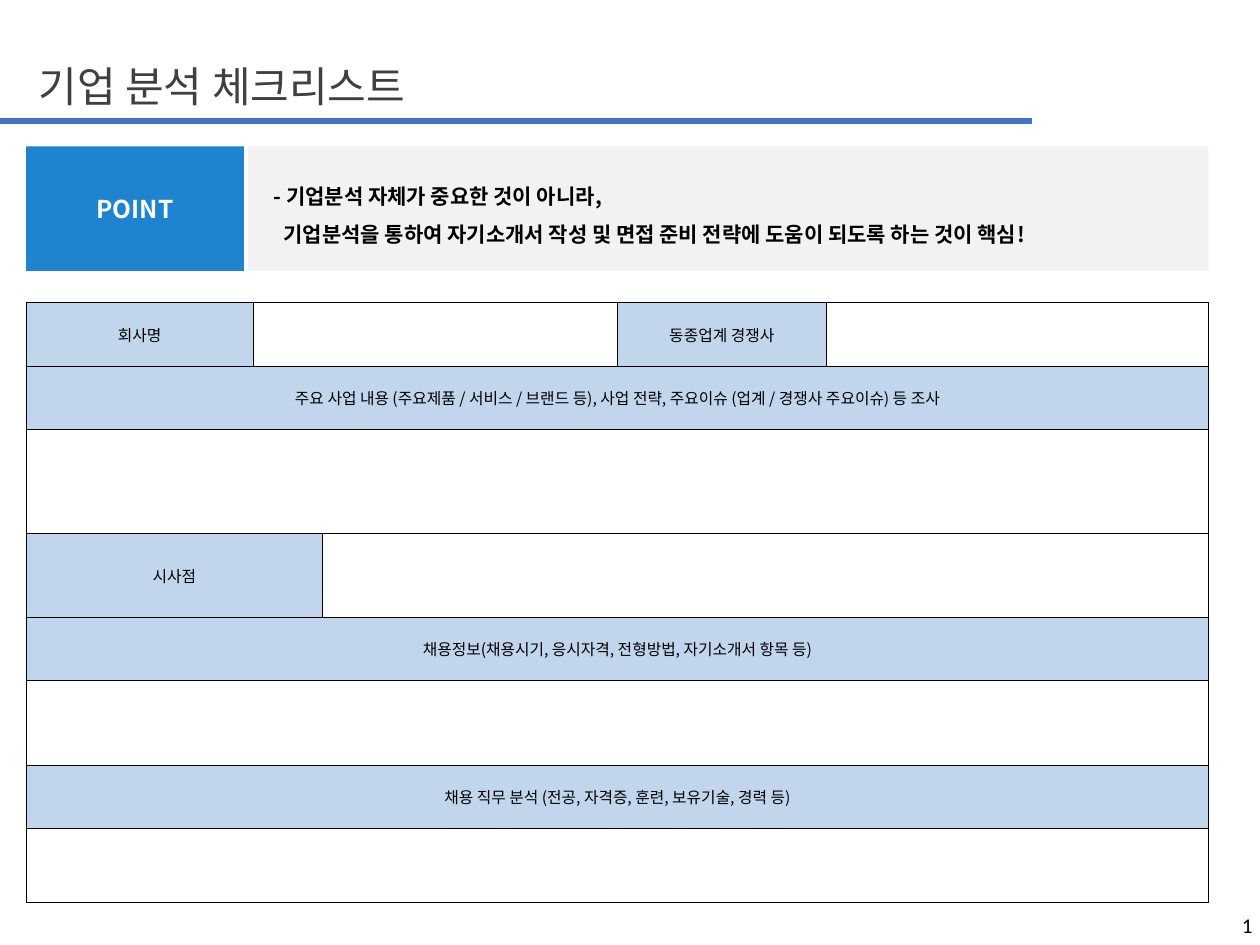
from dataclasses import dataclass

from lxml.etree import SubElement
from pptx import Presentation
from pptx.dml.color import RGBColor
from pptx.enum.shapes import MSO_CONNECTOR, MSO_SHAPE
from pptx.enum.text import MSO_ANCHOR, PP_ALIGN
from pptx.oxml.ns import qn
from pptx.util import Cm, Pt


@dataclass(frozen=True)
class Theme:
    """Colours, fonts and type sizes."""
    font: str = "Noto Sans CJK KR"
    digit: str = "Calibri"
    black: str = "000000"
    white: str = "FFFFFF"
    grey: str = "404040"
    pale: str = "F2F2F2"
    rule: str = "4472C4"
    accent: str = "1F84CF"
    label: str = "C1D6ED"
    title: int = 24
    point: int = 14
    body: int = 12
    cell: int = 9


T = Theme()
COLS = [4.57, 1.4, 5.94, 4.22, 7.7]
# Each row: height, then (columns spanned, label) for each cell.
ROWS = [
    (1.28, [(1, "회사명"), (2, ""), (1, "동종업계 경쟁사"), (1, "")]),
    (1.28, [(5, "주요 사업 내용 (주요제품 / 서비스 / 브랜드 등), 사업 전략, "
                "주요이슈 (업계 / 경쟁사 주요이슈) 등 조사")]),
    (2.1, [(5, "")]),
    (1.68, [(2, "시사점"), (3, "")]),
    (1.28, [(5, "채용정보(채용시기, 응시자격, 전형방법, 자기소개서 항목 등)")]),
    (1.7, [(5, "")]),
    (1.28, [(5, "채용 직무 분석 (전공, 자격증, 훈련, 보유기술, 경력 등)")]),
    (1.5, [(5, "")]),
]


def rgb(code):
    """Turn a hex code into a colour."""
    return RGBColor.from_string(code)


def write(frame, *lines, size=T.body, color=T.black, font=T.font, bold=False,
          align=PP_ALIGN.LEFT, space=1.0, indents=()):
    """Write one paragraph per line, with optional left indents in cm."""
    for i, line in enumerate(lines):
        para = frame.add_paragraph() if i else frame.paragraphs[0]
        para.alignment, para.line_spacing = align, space
        if indents:
            para._p.get_or_add_pPr().set("marL", str(Cm(indents[i])))
        run = para.add_run()
        run.text = line
        run.font.size, run.font.bold, run.font.name = Pt(size), bold, font
        run.font.color.rgb = rgb(color)
        SubElement(run._r.get_or_add_rPr(), qn("a:ea"), typeface=font)


def label(slide, box, text, **form):
    """Place a plain text box, centred vertically."""
    frame = slide.shapes.add_textbox(*map(Cm, box)).text_frame
    frame.word_wrap = True
    frame.vertical_anchor = MSO_ANCHOR.MIDDLE
    write(frame, text, **form)
    return frame


def panel(slide, box, fill, *lines, **form):
    """Place a filled rectangle with text."""
    shape = slide.shapes.add_shape(MSO_SHAPE.RECTANGLE, *map(Cm, box))
    shape.shadow.inherit = False
    shape.fill.solid()
    shape.fill.fore_color.rgb = rgb(fill)
    shape.line.fill.background()
    shape.text_frame.vertical_anchor = MSO_ANCHOR.MIDDLE
    write(shape.text_frame, *lines, bold=True, **form)


def header(slide, box):
    """Place the title and the rule under it."""
    x, y, w, h = box
    label(slide, box, "기업 분석 체크리스트", size=T.title, color=T.grey, space=0.9)
    base = Cm(y + h - 0.28)
    line = slide.shapes.add_connector(MSO_CONNECTOR.STRAIGHT, 0, base, Cm(20.8), base)
    line.line.color.rgb = rgb(T.rule)
    line.line.width = Pt(3)
    SubElement(line._element.spPr, qn("a:effectLst"))


def banner(slide, box):
    """Place the key point: a tag on the left, its message on the right."""
    x, y, w, h = box
    tag, gap = 4.39, 0.08
    panel(slide, (x, y, tag, h), T.accent, "POINT",
          size=T.point, color=T.white, align=PP_ALIGN.CENTER)
    panel(slide, (x + tag + gap, y, w - tag - gap, h), T.pale,
          "- 기업분석 자체가 중요한 것이 아니라,",
          "기업분석을 통하여 자기소개서 작성 및 면접 준비 전략에 "
          "도움이 되도록 하는 것이 핵심!",
          space=1.5, indents=(0.27, 0.47))


def border(cell):
    """Draw a thin black line on all four sides of a cell."""
    props = cell._tc.get_or_add_tcPr()
    for side in ("lnL", "lnR", "lnT", "lnB"):
        edge = SubElement(props, qn(f"a:{side}"), w=str(Pt(0.5)))
        SubElement(SubElement(edge, qn("a:solidFill")), qn("a:srgbClr"), val=T.black)


def form(slide, x, y):
    """Place the checklist table with its merged cells."""
    high = sum(row[0] for row in ROWS)
    table = slide.shapes.add_table(len(ROWS), len(COLS), Cm(x), Cm(y),
                                   Cm(sum(COLS)), Cm(high)).table
    table.first_row = table.horz_banding = False
    for col, wide in zip(table.columns, COLS):
        col.width = Cm(wide)
    for r, (tall, cells) in enumerate(ROWS):
        table.rows[r].height = Cm(tall)
        for cell in table.rows[r].cells:
            border(cell)
            cell.fill.background()
        c = 0
        for span, text in cells:
            cell = table.cell(r, c)
            if span > 1:
                cell.merge(table.cell(r, c + span - 1))
            if text:
                cell.fill.solid()
                cell.fill.fore_color.rgb = rgb(T.label)
                cell.vertical_anchor = MSO_ANCHOR.MIDDLE
                cell.margin_left = cell.margin_right = Cm(0.15)
                cell.margin_top = cell.margin_bottom = Cm(0.08)
                write(cell.text_frame, text, size=T.cell, align=PP_ALIGN.CENTER)
            c += span


def footer(slide, box):
    """Place the page number at the right edge."""
    frame = label(slide, box, "1", font=T.digit, align=PP_ALIGN.RIGHT)
    frame.margin_right = Cm(0.15)


def main():
    """Build and save the slide."""
    deck = Presentation()
    deck.slide_width, deck.slide_height = Cm(25.4), Cm(19.05)
    slide = deck.slides.add_slide(deck.slide_layouts[6])
    left, wide = 0.53, sum(COLS)
    header(slide, (left, 0.86, 22.86, 1.86))
    banner(slide, (left, 2.95, wide, 2.51))
    form(slide, left, 6.1)
    footer(slide, (19.8, 18.26, 5.6, 0.79))
    deck.save("out.pptx")


main()
